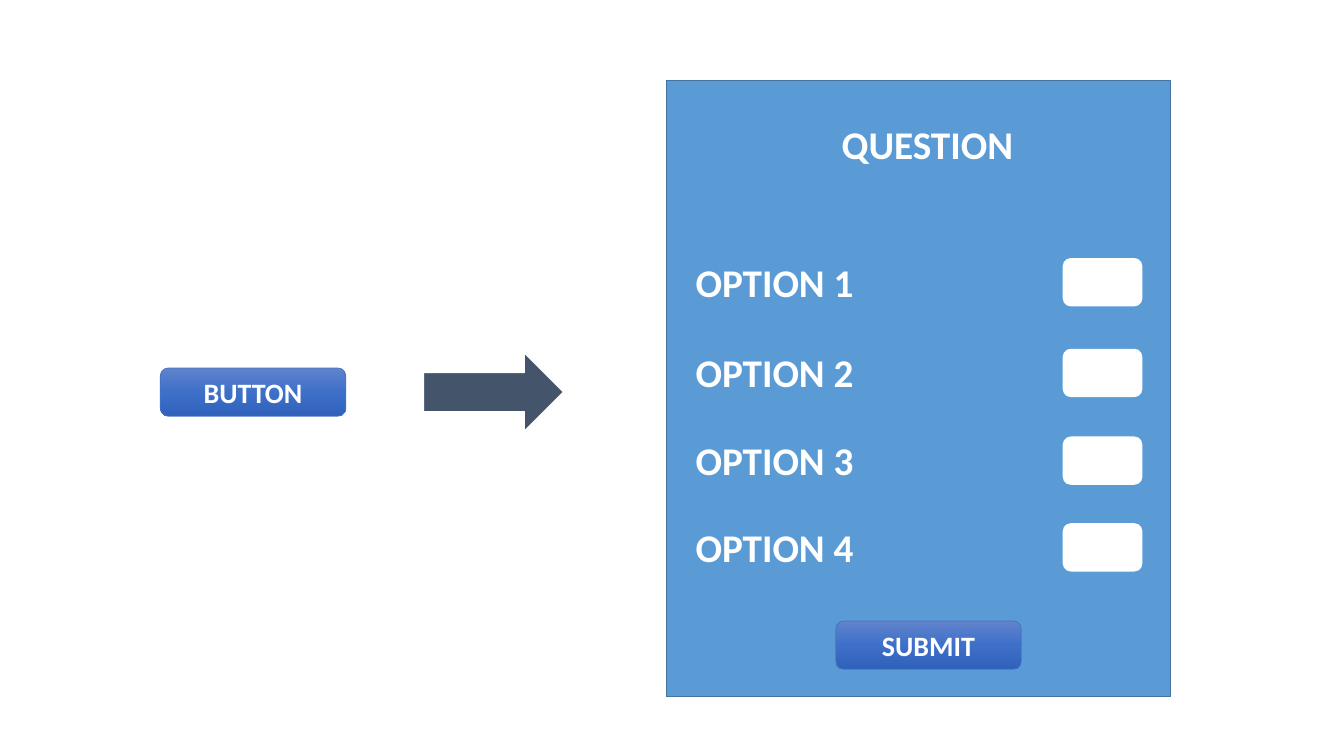
import copy

import pptx
import pptx.dml.color
import pptx.enum.shapes
import pptx.enum.text
import pptx.oxml.ns
import pptx.util

RGBColor = pptx.dml.color.RGBColor
Shape = pptx.enum.shapes.MSO_SHAPE
Align = pptx.enum.text.PP_ALIGN
Inches = pptx.util.Inches

WHITE = RGBColor(0xFF, 0xFF, 0xFF)
PANEL_BLUE = RGBColor(0x5B, 0x9B, 0xD5)
PANEL_EDGE = RGBColor(0x43, 0x73, 0x9E)
ARROW_SLATE = RGBColor(0x44, 0x54, 0x6A)
BUTTON_EDGE = RGBColor(0x44, 0x72, 0xC4)
BUTTON_GRADIENT = (
    (0, RGBColor(0x61, 0x83, 0xCB)),
    (0.5, RGBColor(0x3E, 0x70, 0xCA)),
    (1, RGBColor(0x30, 0x62, 0xBB)),
)

SLIDE_WIDTH, SLIDE_HEIGHT = 13.33, 7.5
BUTTON_SIZE = (1.84, 0.48)
CHECKBOX_SIZE = (0.79, 0.48)
OPTION_TOPS = (1.71, 2.61, 3.48, 4.34)  # below the top of the panel


def add_preset(shapes, kind, box, fill=None, line=None, line_width=1):
    shape = shapes.add_shape(kind, *map(Inches, box))
    shape.shadow.inherit = False
    if fill is not None:
        shape.fill.solid()
        shape.fill.fore_color.rgb = fill
    if line is None:
        shape.line.fill.background()
    else:
        shape.line.color.rgb = line
        shape.line.width = pptx.util.Pt(line_width)
    return shape


def write_text(shape, text, size, alignment):
    paragraph = shape.text_frame.paragraphs[0]
    paragraph.alignment = alignment
    run = paragraph.add_run()
    run.text = text
    font_format = {"name": "Calibri", "size": pptx.util.Pt(size), "bold": True}
    for name, value in font_format.items():
        setattr(run.font, name, value)
    run.font.color.rgb = WHITE


def add_label(shapes, text, box):
    label = shapes.add_textbox(*map(Inches, box))
    label.text_frame.word_wrap = False
    label.text_frame.auto_size = pptx.enum.text.MSO_AUTO_SIZE.SHAPE_TO_FIT_TEXT
    write_text(label, text, 28, Align.LEFT)


def fill_with_gradient(shape, stops):
    shape.fill.gradient()
    shape.fill.gradient_angle = 270
    stop_list = shape.element.spPr.find(".//" + pptx.oxml.ns.qn("a:gsLst"))
    while len(stop_list) < len(stops):
        stop_list.append(copy.deepcopy(stop_list[0]))
    for stop, (position, color) in zip(shape.fill.gradient_stops, stops):
        stop.position = position
        stop.color.rgb = color


def add_button(shapes, text, left, top):
    button = add_preset(shapes, Shape.ROUNDED_RECTANGLE,
                        (left, top, *BUTTON_SIZE), line=BUTTON_EDGE, line_width=0.5)
    fill_with_gradient(button, BUTTON_GRADIENT)
    button.text_frame.vertical_anchor = pptx.enum.text.MSO_ANCHOR.MIDDLE
    write_text(button, text, 20, Align.CENTER)


def add_option(shapes, text, left, top):
    """Group an option's label with its checkbox."""
    option = shapes.add_group_shape()
    add_label(option.shapes, text, (left, top, 1.79, 0.57))
    add_preset(option.shapes, Shape.ROUNDED_RECTANGLE,
               (left + 3.74, top + 0.05, *CHECKBOX_SIZE), WHITE)


def add_question_panel(shapes, left, top, width, height):
    add_preset(shapes, Shape.RECTANGLE, (left, top, width, height),
               PANEL_BLUE, PANEL_EDGE)
    add_label(shapes, "QUESTION", (left + 1.64, top + 0.34, 1.92, 0.57))
    for number, offset in enumerate(OPTION_TOPS, start=1):
        add_option(shapes, f"OPTION {number}", left + 0.19, top + offset)
    add_button(shapes, "SUBMIT", left + 1.68, top + height - 0.75)


def add_trigger(shapes, left, middle):
    """Place the opening button and its arrow on one centre line."""
    add_button(shapes, "BUTTON", left, middle - BUTTON_SIZE[1] / 2)
    arrow_height = 0.78
    add_preset(shapes, Shape.RIGHT_ARROW,
               (left + 2.61, middle - arrow_height / 2, 1.39, arrow_height),
               ARROW_SLATE, WHITE)


def main():
    presentation = pptx.Presentation()
    presentation.slide_width = Inches(SLIDE_WIDTH)
    presentation.slide_height = Inches(SLIDE_HEIGHT)
    slide = presentation.slides.add_slide(presentation.slide_layouts[6])
    add_trigger(slide.shapes, left=1.59, middle=3.89)
    add_question_panel(slide.shapes, left=6.61, top=0.8, width=5, height=6.11)
    presentation.save("out.pptx")


if __name__ == "__main__":
    main()
